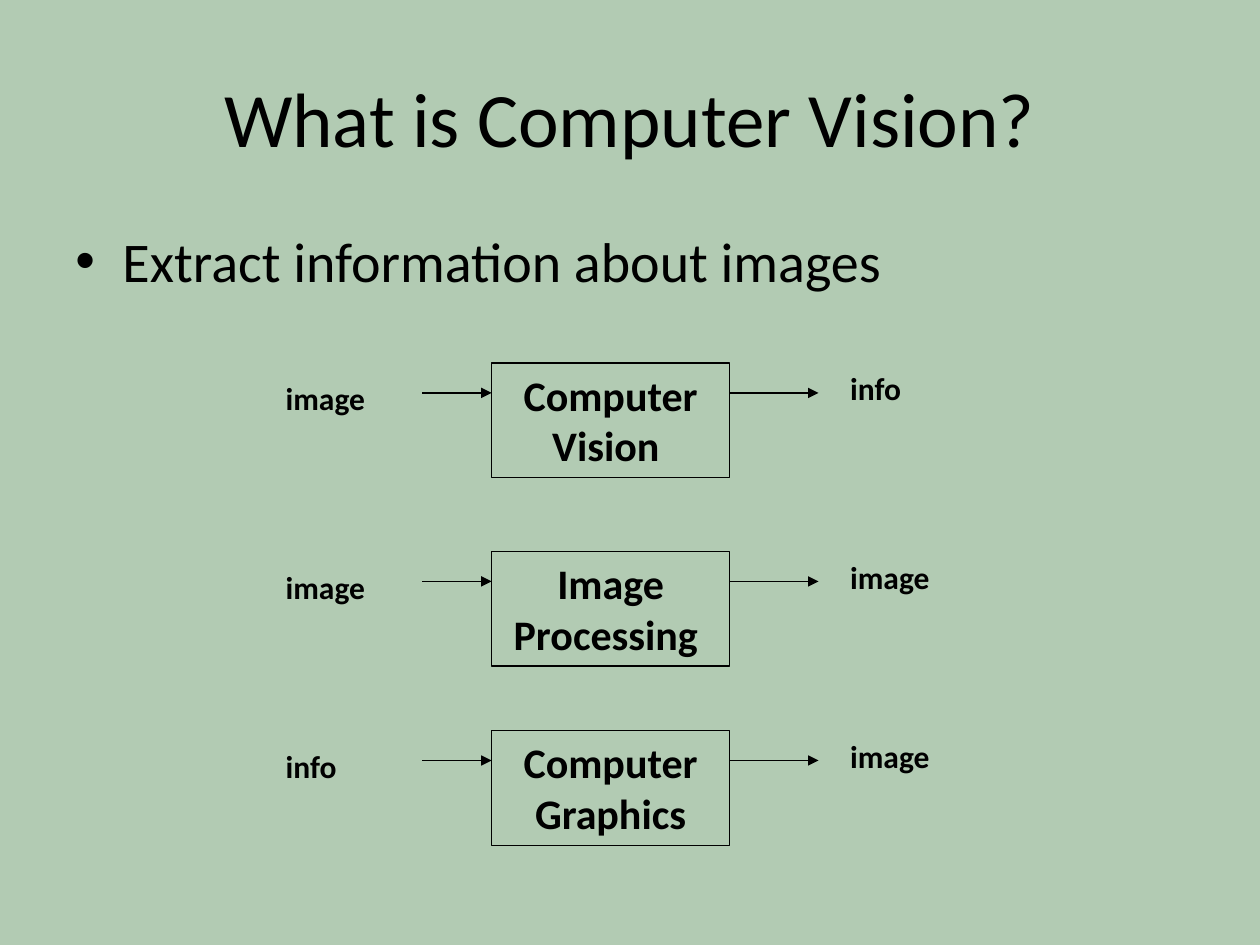
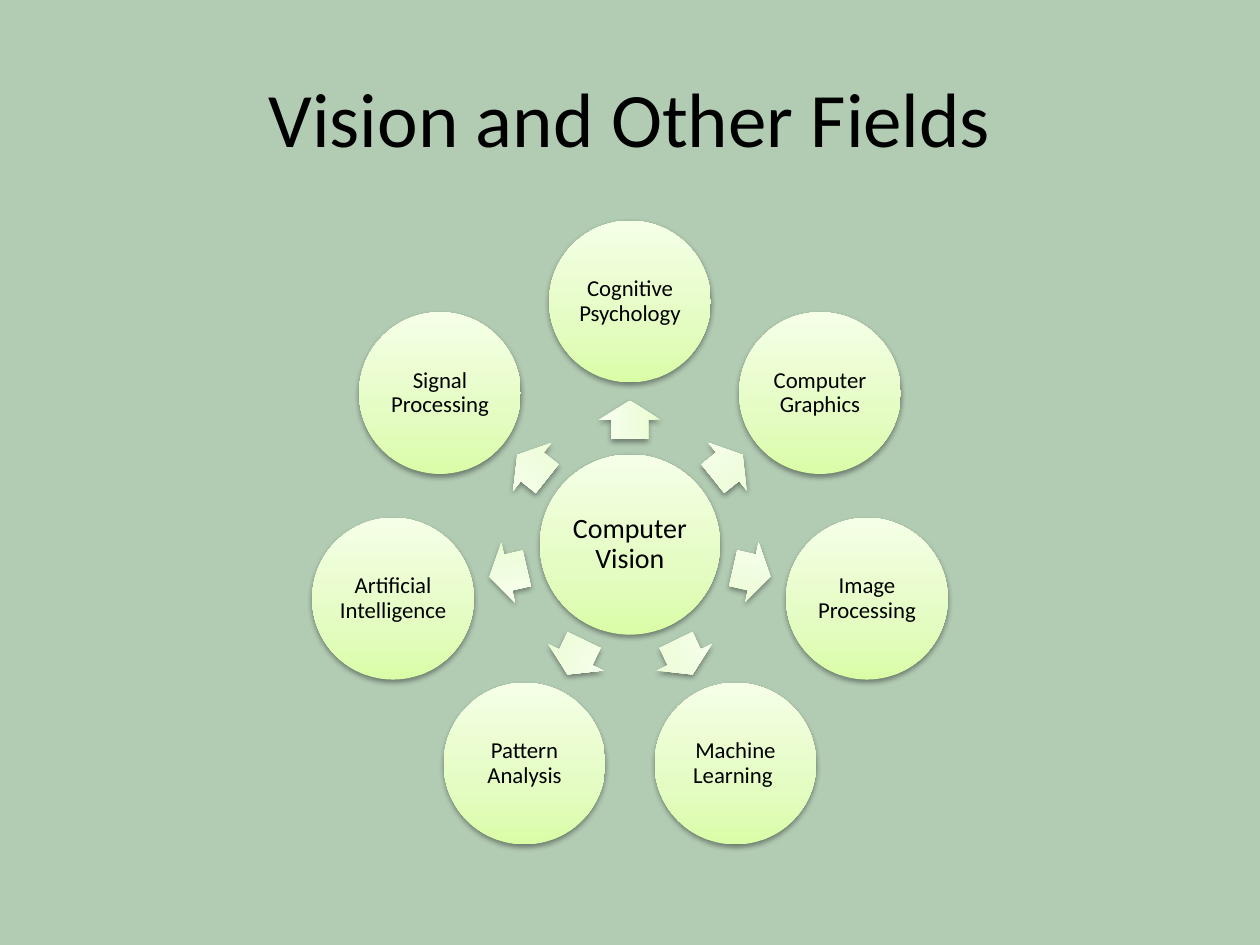
import copy
import math

import lxml.etree
import pptx
import pptx.dml.color
import pptx.enum.shapes
import pptx.enum.text
import pptx.oxml.ns
import pptx.util

Cm = pptx.util.Cm
Pt = pptx.util.Pt
RGBColor = pptx.dml.color.RGBColor
SHAPE = pptx.enum.shapes.MSO_SHAPE
ALIGN = pptx.enum.text.PP_ALIGN
ANCHOR = pptx.enum.text.MSO_ANCHOR
qn = pptx.oxml.ns.qn

FONT = "Calibri"
BLACK = RGBColor(0x00, 0x00, 0x00)
BACKGROUND = RGBColor(0xB2, 0xCB, 0xB3)
DISC_COLORS = (RGBColor(0xDA, 0xFD, 0xA7), RGBColor(0xE4, 0xFC, 0xC2), RGBColor(0xF5, 0xFF, 0xE7))
ARROW_COLORS = (RGBColor(0xE9, 0xFD, 0xCF), RGBColor(0xEF, 0xFD, 0xDC), RGBColor(0xF9, 0xFF, 0xF1))
GRADIENT_POSITIONS = (0, 0.35, 1)


def write(shape, text, size, alignment=ALIGN.LEFT, anchor=ANCHOR.TOP, bold=False):
    frame = shape.text_frame
    frame.word_wrap = True
    frame.vertical_anchor = anchor
    frame.text = text
    paragraph = frame.paragraphs[0]
    paragraph.alignment = alignment
    for run in paragraph.runs:
        run.font.name = FONT
        run.font.size = Pt(size)
        run.font.bold = bold
        run.font.color.rgb = BLACK
    return paragraph


def add_glossy(slide, kind, center_x, center_y, width, height, colors):
    shape = slide.shapes.add_shape(
        kind, Cm(center_x - width / 2), Cm(center_y - height / 2), Cm(width), Cm(height))
    shape.line.fill.background()
    shape.fill.gradient()
    shape.fill.gradient_angle = 90
    stop_list = shape.element.spPr.find(".//" + qn("a:gsLst"))
    stop_list.insert(1, copy.deepcopy(stop_list[0]))
    for stop, position, color in zip(shape.fill.gradient_stops, GRADIENT_POSITIONS, colors):
        stop.position = position
        stop.color.rgb = color
    shape.shadow.inherit = False
    effects = shape.element.spPr.find(qn("a:effectLst"))
    shadow = lxml.etree.SubElement(
        effects, qn("a:outerShdw"), blurRad="40000", dist="20000", dir="5400000", rotWithShape="0")
    shadow_color = lxml.etree.SubElement(shadow, qn("a:srgbClr"), val="000000")
    lxml.etree.SubElement(shadow_color, qn("a:alpha"), val="38000")
    return shape


presentation = pptx.Presentation()
presentation.slide_width = Cm(25.4)
presentation.slide_height = Cm(19.05)

slides = []
for title in ("What is Computer Vision?", "Vision and Other Fields"):
    slide = presentation.slides.add_slide(presentation.slide_layouts[6])
    slide.background.fill.solid()
    slide.background.fill.fore_color.rgb = BACKGROUND
    title_box = slide.shapes.add_textbox(Cm(1.27), Cm(0.76), Cm(22.86), Cm(3.18))
    write(title_box, title, 44, ALIGN.CENTER, ANCHOR.MIDDLE)
    slides.append(slide)
definition_slide, fields_slide = slides

body = definition_slide.shapes.add_textbox(Cm(1.27), Cm(4.45), Cm(22.86), Cm(12.57))
bullet = write(body, "Extract information about images", 32)
properties = bullet._p.get_or_add_pPr()
properties.set("marL", str(Cm(0.95)))
properties.set("indent", str(-Cm(0.95)))
lxml.etree.SubElement(properties, qn("a:buFont"), typeface="Arial")
lxml.etree.SubElement(properties, qn("a:buChar"), char="•")

BOX_LEFT, BOX_WIDTH, BOX_HEIGHT = 9.91, 4.8, 2.31
BOX_RIGHT = BOX_LEFT + BOX_WIDTH
processes = [
    (7.32, "image", "Computer Vision ", "info"),
    (11.12, "image", "Image Processing ", "image"),
    (14.73, "info", "Computer Graphics", "image"),
]
for top, source, process, result in processes:
    box = definition_slide.shapes.add_shape(
        SHAPE.RECTANGLE, Cm(BOX_LEFT), Cm(top), Cm(BOX_WIDTH), Cm(BOX_HEIGHT))
    box.shadow.inherit = False
    box.fill.background()
    box.line.color.rgb = BLACK
    box.line.width = Pt(0.75)
    write(box, process, 24, ALIGN.CENTER, bold=True)

    for start, end in ((8.51, BOX_LEFT), (BOX_RIGHT, 16.5)):
        arrow = definition_slide.shapes.add_connector(
            pptx.enum.shapes.MSO_CONNECTOR.STRAIGHT,
            Cm(start), Cm(top + 0.6), Cm(end), Cm(top + 0.6))
        arrow.line.color.rgb = BLACK
        arrow.line.width = Pt(0.75)
        lxml.etree.SubElement(arrow.line._get_or_add_ln(), qn("a:tailEnd"), type="triangle")
        lxml.etree.SubElement(arrow.element.spPr, qn("a:effectLst"))

    for left, label_top, label in ((5.51, top + 0.2, source), (16.89, top, result)):
        label_box = definition_slide.shapes.add_textbox(Cm(left), Cm(label_top), Cm(2.8), Cm(1.02))
        write(label_box, label, 18, bold=True)

HUB_X, HUB_Y = 12.7, 10.98
RING_RADIUS, ARROW_RADIUS = 4.9, 2.52
fields = ["Cognitive Psychology", "Computer Graphics", "Image Processing", "Machine Learning ",
          "Pattern Analysis", "Artificial Intelligence", "Signal Processing"]
discs = [("Computer Vision", HUB_X, HUB_Y, 3.63, 16)]
for index, field in enumerate(fields):
    degrees = index * 360 / len(fields) - 90
    across, down = math.cos(math.radians(degrees)), math.sin(math.radians(degrees))
    arrow = add_glossy(fields_slide, SHAPE.RIGHT_ARROW, HUB_X + ARROW_RADIUS * across,
                       HUB_Y + ARROW_RADIUS * down, 0.77, 1.23, ARROW_COLORS)
    arrow.adjustments[0] = 0.6
    arrow.adjustments[1] = 0.5
    arrow.rotation = degrees % 360
    discs.append((field, HUB_X + RING_RADIUS * across, HUB_Y + RING_RADIUS * down, 3.26, 13))

for name, center_x, center_y, diameter, size in discs:
    disc = add_glossy(fields_slide, SHAPE.OVAL, center_x, center_y, diameter, diameter, DISC_COLORS)
    frame = disc.text_frame
    frame.margin_left = frame.margin_right = frame.margin_top = frame.margin_bottom = Cm(0.05)
    paragraph = write(disc, name, size, ALIGN.CENTER, ANCHOR.MIDDLE)
    paragraph.line_spacing = 0.9

presentation.save("out.pptx")
